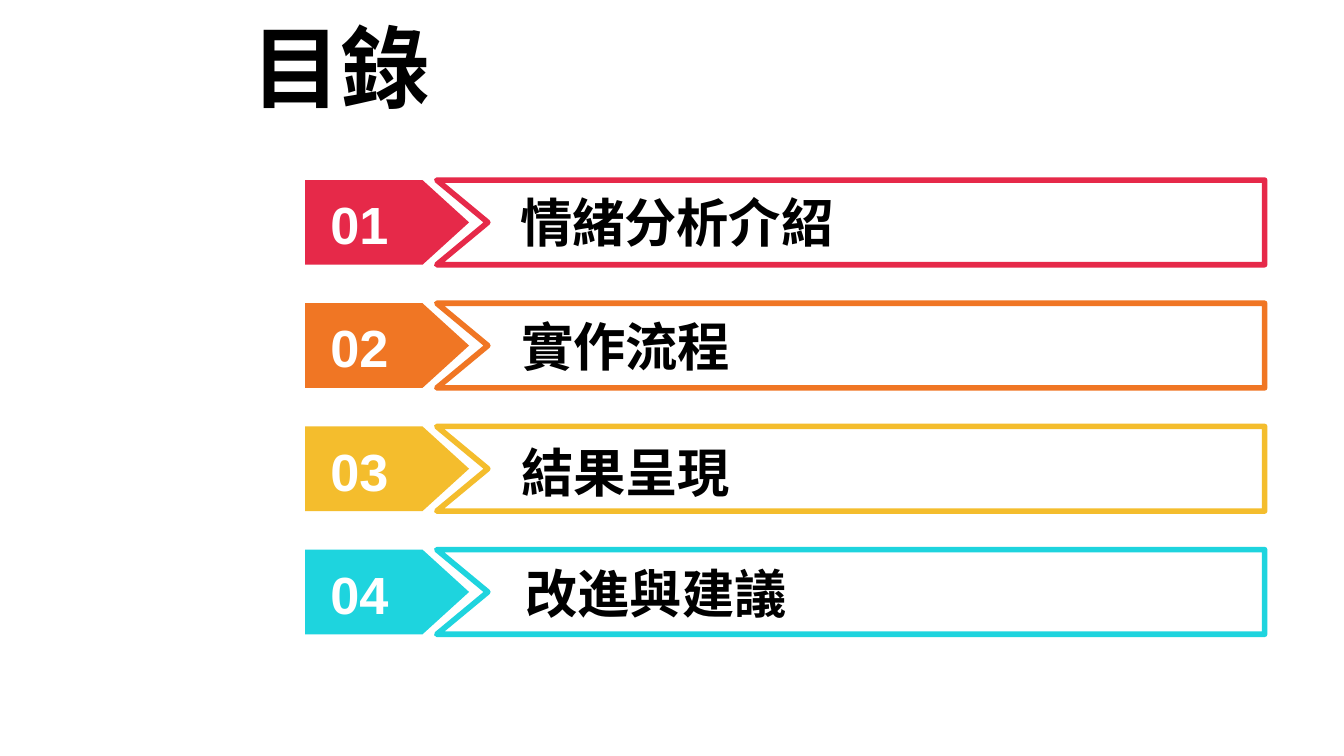
"""Build a contents slide with four numbered arrow banners."""
from dataclasses import dataclass

from lxml.etree import SubElement
from pptx import Presentation
from pptx.dml.color import RGBColor
from pptx.enum.shapes import MSO_SHAPE as Shape
from pptx.enum.text import MSO_ANCHOR as Anchor, MSO_AUTO_SIZE as Fit, PP_ALIGN as Align
from pptx.oxml.ns import qn
from pptx.util import Inches, Pt

TOP, LAST, HIGH = 1.34, 4.09, 0.63
LEFT, RIGHT, NOTCH = 3.25, 9.41, 3.63


@dataclass
class Item:
    """One entry of the contents list."""
    label: str
    color: str
    x: float
    y: float


ITEMS = [
    Item("情緒分析介紹 ", "E62949", 3.67, 1.37),
    Item("實作流程 ", "F07624", 3.68, 2.29),
    Item("結果呈現 ", "F4BD2D", 3.68, 3.23),
    Item("改進與建議", "1ED4DE", 3.71, 4.13),
]
STEP = (LAST - TOP) / (len(ITEMS) - 1)


def paint(target, color: str) -> None:
    """Give a fill a solid colour."""
    target.solid()
    target.fore_color.rgb = RGBColor.from_string(color)


def write(shape, text: str, *, size: float = 28, color: str = "000000",
          anchor=Anchor.TOP, fit=Fit.SHAPE_TO_FIT_TEXT,
          left: float = 0.1, pad: float = 0.05) -> None:
    """Put formatted bold text in a shape."""
    frame = shape.text_frame
    frame.word_wrap = True
    frame.auto_size = fit
    frame.vertical_anchor = anchor
    frame.margin_left, frame.margin_right = Inches(left), Inches(0.1)
    frame.margin_top = frame.margin_bottom = Inches(pad)
    para = frame.paragraphs[0]
    para.alignment = Align.LEFT
    run = para.add_run()
    run.text = text
    font = run.font
    font.name, font.size, font.bold = "Arial", Pt(size), True
    paint(font.fill, color)


def box(shapes, x: float, y: float, w: float, h: float):
    """Add an empty text box."""
    return shapes.add_textbox(Inches(x), Inches(y), Inches(w), Inches(h))


def tag(shapes, y: float, color: str) -> None:
    """Draw the filled number arrow."""
    arrow = shapes.add_shape(Shape.PENTAGON, Inches(2.27), Inches(y),
                             Inches(1.22), Inches(HIGH))
    arrow.adjustments[0] = 0.55
    arrow.shadow.inherit = False
    paint(arrow.fill, color)
    arrow.line.fill.background()


def banner(shapes, y: float, color: str) -> None:
    """Draw the notched outline with round corners."""
    pen = shapes.build_freeform(Inches(LEFT), Inches(y))
    ends = [(RIGHT, y), (RIGHT, y + HIGH), (LEFT, y + HIGH), (NOTCH, y + HIGH / 2)]
    pen.add_line_segments([(Inches(a), Inches(b)) for a, b in ends], close=True)
    frame = pen.convert_to_shape()
    frame.shadow.inherit = False
    paint(frame.fill, "FFFFFF")
    paint(frame.line.fill, color)
    frame.line.width = Pt(3)
    SubElement(frame.element.spPr.find(qn("a:ln")), qn("a:round"))


def row(shapes, rank: int, item: Item) -> None:
    """Draw one numbered entry."""
    y = TOP + rank * STEP
    tag(shapes, y, item.color)
    banner(shapes, y, item.color)
    write(box(shapes, 2.36, y + 0.09, 0.66, 0.47), f"{rank + 1:02}",
          color="FFFFFF", anchor=Anchor.MIDDLE, pad=0)
    write(box(shapes, item.x, item.y, 5.3, 0.57), item.label, left=0.2)


def main() -> None:
    """Build and save the deck."""
    deck = Presentation()
    deck.slide_width = Inches(10)
    deck.slide_height = Inches(10 * 9 / 16)
    slide = deck.slides.add_slide(deck.slide_layouts[5])
    paint(slide.background.fill, "FFFFFF")
    title = slide.shapes.title
    title.left, title.top = Inches(1.77), Inches(0)
    title.width, title.height = Inches(8.23), Inches(0.97)
    write(title, "目錄", size=48, anchor=Anchor.MIDDLE, fit=Fit.NONE)
    for rank, item in enumerate(ITEMS):
        row(slide.shapes, rank, item)
    deck.save("out.pptx")


main()
